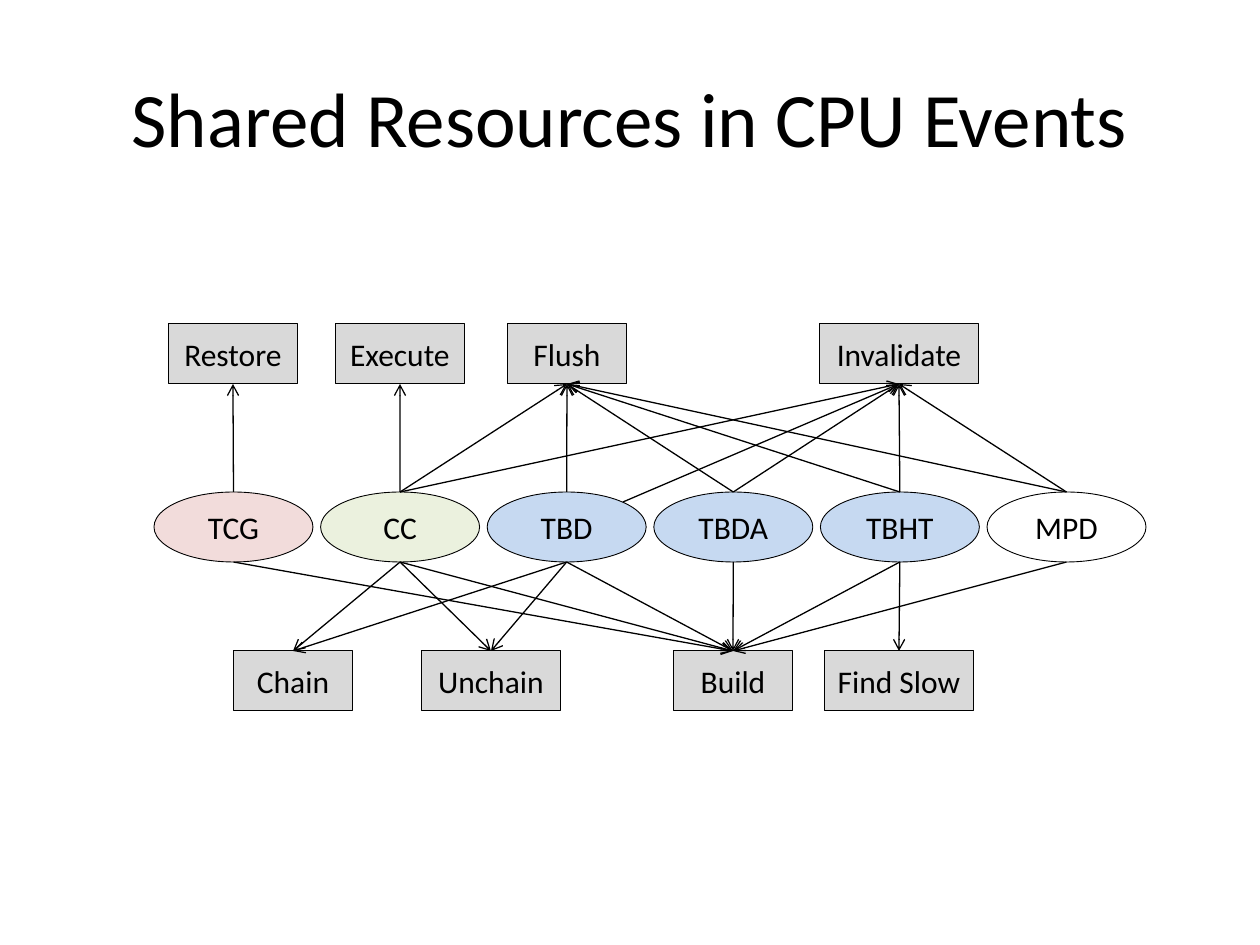
from lxml.etree import SubElement
from pptx import Presentation
from pptx.dml.color import RGBColor
from pptx.enum.shapes import MSO_CONNECTOR as CONN, MSO_SHAPE as SHAPE
from pptx.enum.text import MSO_ANCHOR as ANCHOR, PP_ALIGN as ALIGN
from pptx.oxml.ns import qn
from pptx.util import Inches, Pt

TITLE = "Shared Resources in CPU Events"
BLACK, GREY, BLUE = "000000", "D9D9D9", "C6D9F1"
RESOURCES = [("TCG", "F2DCDB"), ("CC", "EBF1DE"), ("TBD", BLUE),
             ("TBDA", BLUE), ("TBHT", BLUE), ("MPD", "FFFFFF")]
UPPER_EVENTS = [("Restore", 233, 129), ("Execute", 400, 129),
                ("Flush", 567, 119), ("Invalidate", 899, 159)]
LOWER_EVENTS = [("Chain", 293, 119), ("Unchain", 491, 139),
                ("Build", 733, 119), ("Find Slow", 899, 149)]
USES = {
    "TCG": ["Restore", "Build"],
    "CC": ["Execute", "Flush", "Invalidate", "Chain", "Unchain", "Build"],
    "TBD": ["Flush", "Invalidate", "Chain", "Unchain", "Build"],
    "TBDA": ["Flush", "Invalidate", "Build"],
    "TBHT": ["Flush", "Invalidate", "Build", "Find Slow"],
    "MPD": ["Flush", "Invalidate", "Build"],
}
SPECIAL_STARTS = {("TBD", "Invalidate"): (623, 502)}
OVAL_LEFT, OVAL_TOP, OVAL_W, OVAL_H, PITCH = 154, 492, 159, 70, 166.6
UPPER_TOP, LOWER_TOP, BOX_H = 324, 651, 60


def px(n):
    return round(n * 914400 / 126)


def color(value):
    return RGBColor.from_string(value)


def write(sp, text, size=18, font="Calibri", fill=BLACK, wrap=False):
    tf = sp.text_frame
    tf.word_wrap = wrap
    tf.vertical_anchor = ANCHOR.MIDDLE
    p = tf.paragraphs[0]
    p.alignment = ALIGN.CENTER
    r = p.add_run()
    r.text = text
    r.font.size, r.font.name = Pt(size), font
    r.font.color.rgb = color(fill)


def add_node(s, kind, text, center, top, width, height, fill):
    sp = s.shapes.add_shape(kind, px(center - width / 2), px(top), px(width), px(height))
    sp.shadow.inherit = False
    sp.fill.solid()
    sp.fill.fore_color.rgb = color(fill)
    sp.line.color.rgb = color(BLACK)
    sp.line.width = Pt(0.5)
    write(sp, text)
    return sp


def add_arrow(s, start, box, side):
    x, y = map(px, start)
    cxn = s.shapes.add_connector(CONN.STRAIGHT, x, y, x, y)
    cxn.end_connect(box, side)
    cxn.line.color.rgb = color(BLACK)
    cxn.line.width = Pt(0.75)
    SubElement(cxn.line._get_or_add_ln(), qn("a:tailEnd"), type="arrow")
    SubElement(cxn._element.spPr, qn("a:effectLst"))


def main():
    """Build the slide that links shared resources to CPU events."""
    prs = Presentation()
    prs.slide_width, prs.slide_height = Inches(10), Inches(7.5)
    s = prs.slides.add_slide(prs.slide_layouts[5])
    title = s.shapes.title
    title.left, title.top, title.width, title.height = map(px, (63, 38, 1134, 158))
    write(title, TITLE, size=44, wrap=True)

    boxes = {}
    for events, top, y, side in ((UPPER_EVENTS, UPPER_TOP, OVAL_TOP, 2),
                                 (LOWER_EVENTS, LOWER_TOP, OVAL_TOP + OVAL_H, 0)):
        for name, center, width in events:
            box = add_node(s, SHAPE.RECTANGLE, name, center, top, width, BOX_H, GREY)
            boxes[name] = box, y, side

    for i, (name, fill) in enumerate(RESOURCES):
        center = OVAL_LEFT + OVAL_W / 2 + i * PITCH
        add_node(s, SHAPE.OVAL, name, center, OVAL_TOP, OVAL_W, OVAL_H, fill)
        for event in USES[name]:
            box, y, side = boxes[event]
            add_arrow(s, SPECIAL_STARTS.get((name, event), (center, y)), box, side)
    prs.save("out.pptx")


if __name__ == "__main__":
    main()
